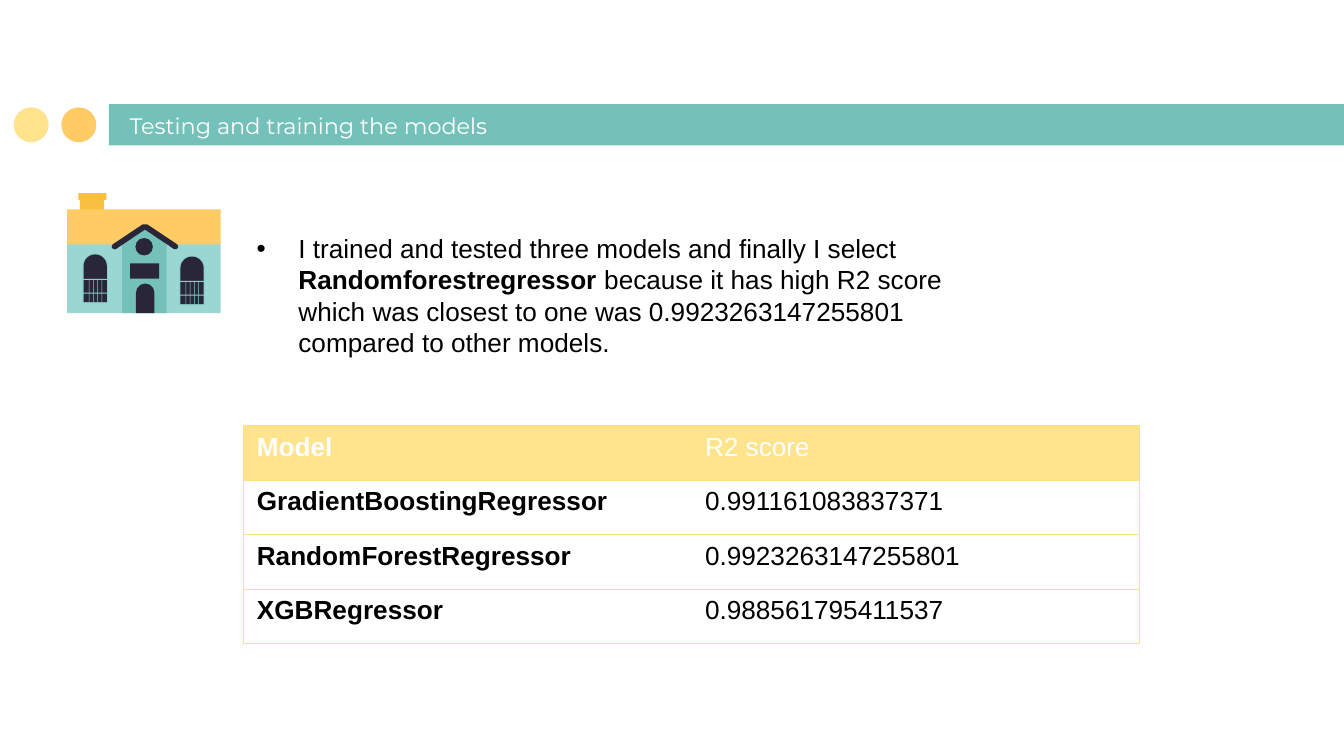
from dataclasses import dataclass
from typing import Any

import lxml.etree
import pptx
import pptx.dml.color
import pptx.enum.shapes
import pptx.enum.text
import pptx.oxml
import pptx.oxml.ns
import pptx.util

Cm = pptx.util.Cm
Pt = pptx.util.Pt
MSO = pptx.enum.shapes.MSO_SHAPE
qn = pptx.oxml.ns.qn

WHITE, BLACK, DARK = "FFFFFF", "000000", "2A2639"
TEAL, PALE_TEAL, TRIM = "74C1B9", "9AD7D2", "89CEC7"
AMBER, GOLD, YELLOW, BORDER = "FFCB64", "F9BF3E", "FFE48D", "FCE087"


@dataclass
class Block:
    x: float
    y: float
    w: float
    h: float
    color: str
    kind: Any = MSO.RECTANGLE


@dataclass
class Outline:
    points: list[tuple[float, float]]
    color: str
    closed: bool = True


@dataclass
class Run:
    text: str
    bold: bool = False


def rgb(value: str) -> pptx.dml.color.RGBColor:
    return pptx.dml.color.RGBColor.from_string(value)


def apply(obj: Any, values: dict[str, Any]) -> None:
    for name, value in values.items():
        setattr(obj, name, value)


def paint(sp: Any, color: str) -> None:
    sp.shadow.inherit = False
    sp.fill.solid()
    sp.fill.fore_color.rgb = rgb(color)
    sp.line.fill.background()


def draw_block(shapes: Any, b: Block) -> None:
    sp = shapes.add_shape(b.kind, Cm(b.x), Cm(b.y), Cm(b.w), Cm(b.h))
    if b.kind == MSO.ROUND_2_SAME_RECTANGLE:
        sp.adjustments[0] = 0.5
    paint(sp, b.color)


def draw_outline(shapes: Any, o: Outline) -> None:
    points = [(Cm(x), Cm(y)) for x, y in o.points]
    builder = shapes.build_freeform(*points[0], scale=1.0)
    builder.add_line_segments(points[1:], close=o.closed)
    sp = builder.convert_to_shape()
    paint(sp, o.color)
    if not o.closed:
        sp.fill.background()
        sp.line.color.rgb = rgb(o.color)
        sp.line.width = Pt(0.11)


def draw_window(shapes: Any, x: float, y: float) -> None:
    arch = MSO.ROUND_2_SAME_RECTANGLE
    draw_block(shapes, Block(x, y, 0.48, 0.94, TRIM, arch))
    draw_block(shapes, Block(x + 0.02, y + 0.02, 0.44, 0.9, DARK, arch))
    for dy in (0.48, 0.74):
        draw_block(shapes, Block(x, y + dy, 0.48, 0.02, TRIM))
    for i in range(4):
        draw_block(shapes, Block(x + 0.12 + i * 0.08, y + 0.48, 0.01, 0.44, TRIM))


def write(p: Any, runs: list[Run], size: float, font: str, color: str) -> None:
    for run in runs:
        r = p.add_run()
        r.text = run.text
        apply(r.font, {"size": Pt(size), "name": font, "bold": run.bold})
        r.font.color.rgb = rgb(color)


def add_text(shapes: Any, box: tuple[float, ...], values: dict[str, Any]) -> Any:
    tf = shapes.add_textbox(*map(Cm, box)).text_frame
    apply(tf, {"word_wrap": True, **values})
    return tf.paragraphs[0]


def add_bullet(p: Any, indent: float) -> None:
    pPr = p._p.get_or_add_pPr()
    pPr.set("marL", str(Cm(indent)))
    pPr.set("indent", str(-Cm(indent)))
    font = lxml.etree.SubElement(pPr, qn("a:buFont"))
    font.set("typeface", "Arial")
    lxml.etree.SubElement(pPr, qn("a:buChar")).set("char", "•")


def add_border(cell: Any, side: str, visible: bool) -> None:
    ln = lxml.etree.SubElement(cell._tc.get_or_add_tcPr(), qn(f"a:ln{side}"))
    ln.set("w", str(Pt(0.75)))
    if visible:
        fill = lxml.etree.SubElement(ln, qn("a:solidFill"))
        lxml.etree.SubElement(fill, qn("a:srgbClr")).set("val", BORDER)
    else:
        lxml.etree.SubElement(ln, qn("a:noFill"))


def add_scores(shapes: Any, rows: list[tuple[str, str]]) -> None:
    frame = shapes.add_table(len(rows), 2, Cm(4.6), Cm(8.05), Cm(16.94), Cm(4.12))
    table = frame.table
    apply(table, {"first_row": False, "horz_banding": False})
    for i, row in enumerate(rows):
        table.rows[i].height = Cm(1.03)
        for j, text in enumerate(row):
            cell = table.cell(i, j)
            color = BLACK if i else WHITE
            write(cell.text_frame.paragraphs[0], [Run(text, j == 0)], 14, "Arial", color)
            for side in "LRTB":
                add_border(cell, side, side != "RL"[j])
            cell.fill.solid()
            cell.fill.fore_color.rgb = rgb(WHITE if i else YELLOW)


def draw_house(shapes: Any) -> None:
    arch = MSO.ROUND_2_SAME_RECTANGLE
    for b in (
        Block(1.27, 4.6, 2.9, 1.32, PALE_TEAL),
        Block(1.51, 3.76, 0.46, 0.25, GOLD),
        Block(1.48, 3.65, 0.53, 0.13, GOLD),
        Block(1.27, 3.96, 2.9, 0.66, AMBER),
    ):
        draw_block(shapes, b)
    gable = [(2.73, 4.27), (2.31, 4.62), (2.31, 5.92), (3.15, 5.92), (3.15, 4.62)]
    draw_outline(shapes, Outline(gable, TEAL))
    draw_outline(shapes, Outline([(2.24, 4.65), (2.73, 4.27), (3.2, 4.65)], "F1F0FF", False))
    for b in (
        Block(2.56, 4.5, 0.33, 0.33, DARK, MSO.OVAL),
        Block(2.57, 5.36, 0.35, 0.56, DARK, arch),
        Block(2.46, 4.98, 0.55, 0.29, DARK),
    ):
        draw_block(shapes, b)
    for x, y in ((3.39, 4.83), (1.56, 4.79)):
        draw_window(shapes, x, y)
    half = [(0.04, 4.24), (0.61, 4.62), (0.63, 4.67), (0.6, 4.71), (0.55, 4.71), (0, 4.34)]
    right = [(2.74 + dx, y) for dx, y in half]
    left = [(2.74 - dx, y) for dx, y in reversed(half[:-1])]
    draw_outline(shapes, Outline(right + left, DARK))


def main() -> None:
    prs = pptx.Presentation()
    apply(prs, {"slide_width": Cm(25.4), "slide_height": Cm(14.29)})
    shapes = prs.slides.add_slide(prs.slide_layouts[6]).shapes

    draw_block(shapes, Block(2.06, 1.97, 23.34, 0.78, TEAL))
    for x, color in ((1.16, AMBER), (0.26, YELLOW)):
        draw_block(shapes, Block(x, 2.03, 0.66, 0.66, color, MSO.OVAL))

    margins = {f"margin_{side}": Cm(0.25) for side in ("left", "right", "top", "bottom")}
    anchor = {"vertical_anchor": pptx.enum.text.MSO_ANCHOR.BOTTOM}
    p = add_text(shapes, (2.2, 2.01, 13.92, 0.86), {**margins, **anchor})
    write(p, [Run("Testing and training the models")], 12, "Montserrat", WHITE)

    draw_house(shapes)

    p = add_text(shapes, (4.6, 4.27, 14.86, 3.84), {})
    add_bullet(p, 0.79)
    write(p, [
        Run("I trained and tested three models and finally I select "),
        Run("Randomforestregressor ", True),
        Run("because it has high R2 score which was closest to one was "
            "0.9923263147255801 compared to other models."),
    ], 14, "Arial", BLACK)

    add_scores(shapes, [
        ("Model", "R2 score"),
        ("GradientBoostingRegressor", "0.991161083837371"),
        ("RandomForestRegressor", "0.9923263147255801"),
        ("XGBRegressor", "0.988561795411537"),
    ])
    prs.save("out.pptx")


if __name__ == "__main__":
    main()
